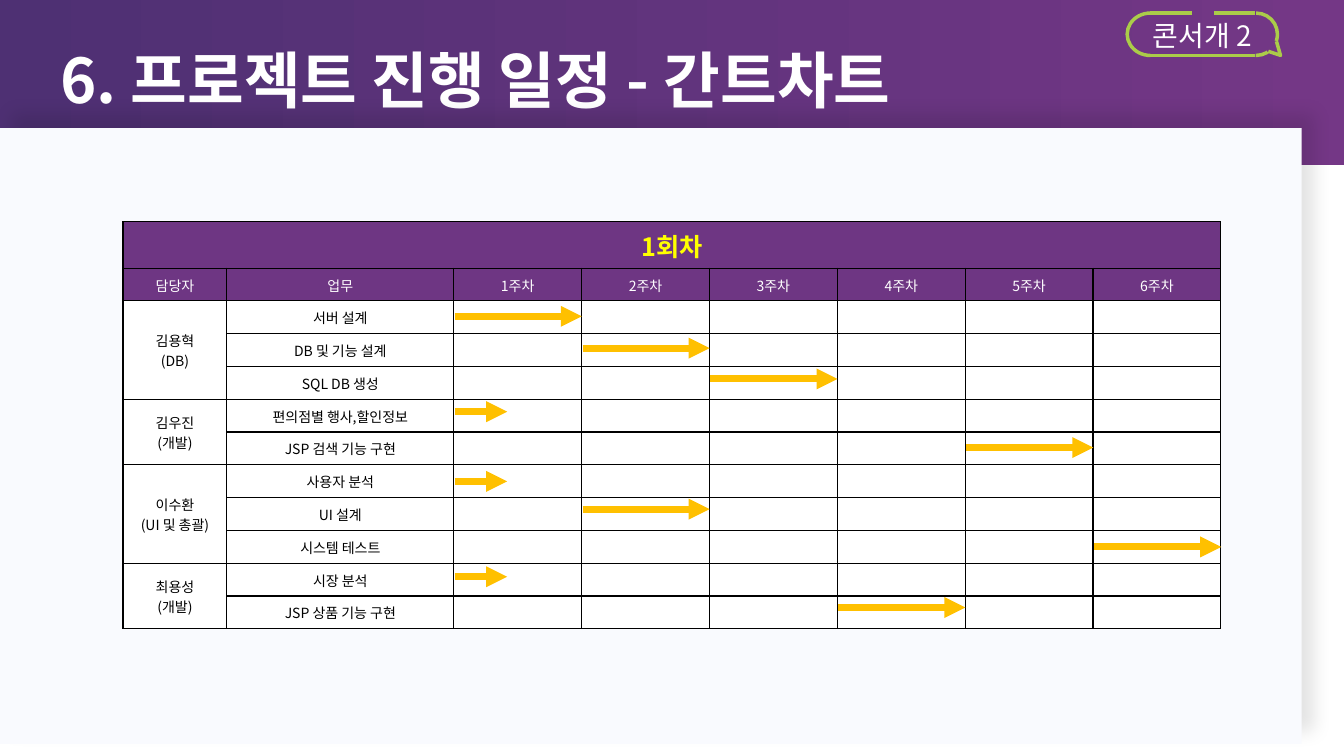
from lxml import etree
from pptx import Presentation
from pptx import util as u
from pptx.dml import color
from pptx.enum import shapes, text
from pptx.oxml import ns

FACE = "Noto Sans CJK KR"
WHITE, BLACK, PURPLE, LIME, GOLD = "FFFFFF", "000000", "6E3683", "ABCC49", "FFC000"
HEAD, COLS = 0.46, (1.03, 2.25)
WEEKS = 6
# Each owner: label, then tasks as (name, week, arrow length, lift above row centre)
TEAM = [
    ("김용혁\v(DB)", [("서버 설계", 1, 1.26, 0.01), ("DB 및 기능 설계", 2, 1.26, 0.02),
                     ("SQL DB 생성", 3, 1.26, 0.04)]),
    ("김우진\v(개발)", [("편의점별 행사,할인정보", 1, 0.52, 0.04),
                     ("JSP 검색 기능 구현", 5, 1.26, 0.01)]),
    ("이수환\v(UI 및 총괄)", [("사용자 분석", 1, 0.52, 0), ("UI 설계", 2, 1.26, 0.05),
                         ("시스템 테스트", 6, 1.26, 0)]),
    ("최용성\v(개발)", [("시장 분석", 1, 0.52, 0.03), ("JSP 상품 기능 구현", 4, 1.26, 0.05)]),
]


def rgb(code):
    return color.RGBColor.from_string(code)


def put(obj, vals):
    for key, val in vals.items():
        setattr(obj, key, val)


def box(*nums):
    return [u.Inches(n) for n in nums]


def sub(node, tag, **attrs):
    return etree.SubElement(node, ns.qn("a:" + tag), attrs)


def style(par, size, hue, bold=False, align=text.PP_ALIGN.CENTER):
    par.alignment = align
    for run in par.runs:
        put(run.font, {"name": FACE, "size": u.Pt(size), "bold": bold})
        run.font.color.rgb = rgb(hue)
        sub(run.font._element, "ea", typeface=FACE)


def stroke(item, hue, width):
    item.line.color.rgb = rgb(hue)
    item.line.width = u.Pt(width)


def join(pool, x1, y1, x2, y2, hue, width):
    line = pool.add_connector(shapes.MSO_CONNECTOR.STRAIGHT, *box(x1, y1, x2, y2))
    stroke(line, hue, width)
    sub(line._element.spPr, "effectLst")
    return line


def banner(slide, x, y, w, h):
    title = slide.shapes.title
    put(title, dict(zip(("left", "top", "width", "height"), box(x, y, w, h))))
    title.fill.gradient()
    title.fill.gradient_angle = 0
    for stop, hue in zip(title.fill.gradient_stops, ("4E3073", "743786")):
        stop.color.rgb = rgb(hue)
    frame = title.text_frame
    frame.text = "6. 프로젝트 진행 일정 - 간트차트"
    # The bottom margin keeps the text clear of the panel
    put(frame, {"margin_left": u.Inches(0.6), "margin_bottom": u.Inches(0.5),
                "word_wrap": True, "auto_size": text.MSO_AUTO_SIZE.NONE,
                "vertical_anchor": text.MSO_ANCHOR.MIDDLE})
    style(frame.paragraphs[0], 44, WHITE, True, text.PP_ALIGN.LEFT)
    frame.paragraphs[0].line_spacing = 1.5


def panel(slide, x, y, w, h):
    card = slide.shapes.add_shape(shapes.MSO_SHAPE.RECTANGLE, *box(x, y, w, h))
    card.fill.solid()
    card.fill.fore_color.rgb = rgb("F9FAFE")
    card.line.fill.background()
    # Soft shadow to the upper right
    glow = sub(sub(card._element.spPr, "effectLst"), "outerShdw", blurRad=str(u.Pt(13)),
               dist=str(u.Pt(13)), dir=str(315 * 60000), algn="bl", rotWithShape="0")
    sub(sub(glow, "srgbClr", val=BLACK), "alpha", val="11000")


def badge(slide, x, y, w, h):
    pool = slide.shapes.add_group_shape().shapes
    left, right, base = x + 0.23, x + w - 0.25, y + h

    def outline(item):
        item.fill.background()
        item.shadow.inherit = False
        stroke(item, LIME, 2.5)

    # Rounded ends
    end = pool.add_shape(shapes.MSO_SHAPE.LEFT_BRACKET, *box(x, y, 0.23, h))
    end.adjustments[0] = 0.922
    outline(end)
    for start, stop in ((97.015, 162.08), (52.962, 73.553)):
        arc = pool.add_shape(shapes.MSO_SHAPE.ARC, *box(right - 0.2, y, h, h))
        arc.adjustments[0], arc.adjustments[1] = start, stop
        arc._element.spPr.xfrm.set("flipH", "1")
        outline(arc)
    # Straight edges, with a gap at the top
    for x1, x2, at in ((left, right, base), (left, left + 0.41, y), (right - 0.41, right, y)):
        join(pool, x1, at, x2, at, LIME, 2.5)
    # Tail of the bubble
    pen = pool.build_freeform(*box(x + 1.48, y + 0.28))
    pen.add_line_segments([box(x + 1.52, y + 0.42), box(x + 1.4, y + 0.38)], close=False)
    outline(pen.convert_to_shape())
    # Label
    frame = slide.shapes.add_textbox(*box(x + 0.12, y, 1.25, 0.44)).text_frame
    put(frame, {"word_wrap": True, "auto_size": text.MSO_AUTO_SIZE.SHAPE_TO_FIT_TEXT})
    frame.text = "콘서개 2"
    style(frame.paragraphs[0], 20, WHITE)


def cell(spot, words, fill, size, hue, bold=False):
    put(spot, {"margin_left": u.Inches(0.01), "margin_right": u.Inches(0.01),
               "margin_top": u.Inches(0.01), "margin_bottom": 0,
               "vertical_anchor": text.MSO_ANCHOR.MIDDLE})
    spot.text = words
    par = spot.text_frame.paragraphs[0]
    style(par, size, hue, bold)
    sub(par._p, "endParaRPr", sz=str(size * 100))
    props = spot._tc.get_or_add_tcPr()
    for side in ("lnL", "lnR", "lnT", "lnB"):
        edge = sub(props, side, w=str(u.Pt(1)))
        sub(sub(edge, "solidFill"), "srgbClr", val=BLACK)
    spot.fill.solid()
    spot.fill.fore_color.rgb = rgb(fill)


def gantt(slide, x, y, w, h):
    tasks = [task for _, jobs in TEAM for task in jobs]
    rows, cols = len(tasks) + 2, WEEKS + len(COLS)
    step = (h - HEAD) / (rows - 1)
    week = (w - sum(COLS)) / WEEKS
    grid = slide.shapes.add_table(rows, cols, *box(x, y, w, h)).table
    put(grid, {"first_row": False, "horz_banding": False})
    for col, size in zip(grid.columns, COLS + (week,) * WEEKS):
        col.width = u.Inches(size)
    for i, row in enumerate(grid.rows):
        row.height = u.Inches(step if i else HEAD)

    # Heading rows
    labels = ["담당자", "업무"] + [f"{n}주차" for n in range(1, WEEKS + 1)]
    for c, label in enumerate(labels):
        cell(grid.cell(0, c), "" if c else "1회차", PURPLE, 18, "FFFF00", True)
        cell(grid.cell(1, c), label, PURPLE, 10, WHITE)
    grid.cell(0, 0).merge(grid.cell(0, cols - 1))

    # Owners and their tasks
    r = 2
    for owner, jobs in TEAM:
        for i, job in enumerate(jobs):
            words = ["" if i else owner, job[0]] + [""] * WEEKS
            for c, word in enumerate(words):
                cell(grid.cell(r + i, c), word, WHITE, 10, BLACK)
        grid.cell(r, 0).merge(grid.cell(r + len(jobs) - 1, 0))
        r += len(jobs)

    # Schedule arrows
    for i, (_, num, size, lift) in enumerate(tasks):
        x1 = x + sum(COLS) + (num - 1) * week + 0.01
        mid = y + HEAD + (i + 1.5) * step - lift
        line = join(slide.shapes, x1, mid, x1 + size, mid, GOLD, 5)
        sub(line.line._get_or_add_ln(), "tailEnd", type="triangle")


def main():
    deck = Presentation()
    put(deck, {"slide_width": u.Inches(13.33), "slide_height": u.Inches(7.5)})
    slide = deck.slides.add_slide(deck.slide_layouts[5])
    banner(slide, 0, 0, 13.33, 1.64)
    panel(slide, 0, 1.27, 12.91, 6.11)
    badge(slide, 11.18, 0.13, 1.52, 0.42)
    gantt(slide, 1.22, 2.2, 10.89, 4.04)
    deck.save("out.pptx")


if __name__ == "__main__":
    main()
